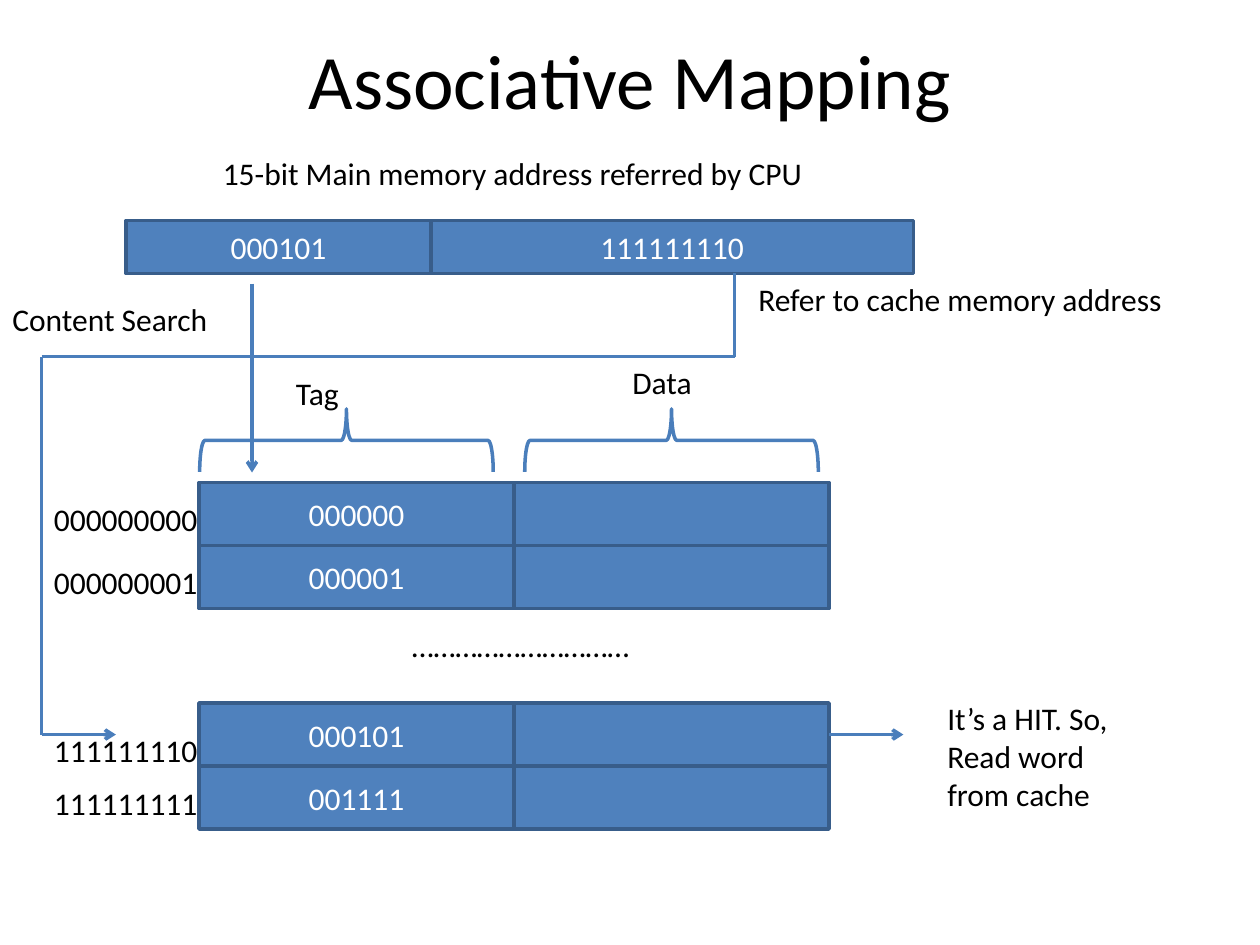
from pptx import Presentation
from pptx.dml.color import RGBColor
from pptx.enum.shapes import MSO_CONNECTOR, MSO_SHAPE
from pptx.enum.text import MSO_ANCHOR, PP_ALIGN
from pptx.oxml.ns import qn
from pptx.util import Inches, Pt
from lxml.etree import SubElement

COLORS = {"text": "000000", "cell_text": "FFFFFF", "cell": "4F81BD", "border": "385D8A", "line": "4A7EBB"}
TITLE = "Associative Mapping"
ADDRESS_PARTS = [("000101", 1, 2.42), ("111111110", 3.42, 3.83)]
CACHE_ROWS = [
    ("000000000", "000000", 3.83, 3.92),
    ("000000001", "000001", 4.33, 4.42),
    ("111111110", "000101", 5.58, 5.75),
    ("111111111", "001111", 6.08, 6.17),
]
LABELS = [
    ("15-bit Main memory address referred by CPU", 1.67, 1.17, 5, 0.4),
    ("Content Search", 0, 2.33, 1.83, 0.4),
    ("Refer to cache memory address", 5.92, 2.17, 3.83, 0.4),
    ("Tag", 2.25, 2.92, 1.08, 0.4),
    ("Data", 4.92, 2.83, 1.08, 0.4),
    ("…………………………", 3.17, 4.92, 2, 0.4),
    ("It’s a HIT. So, Read word from cache", 7.42, 5.5, 1.58, 1),
]
BRACE_LEFTS = [2.5, 5.08]
SEARCH_LINES = [
    ((5.83, 2.17), (5.83, 2.83), False),
    ((0.33, 2.83), (5.83, 2.83), False),
    ((0.33, 2.83), (0.33, 5.83), False),
    ((0.33, 5.83), (0.92, 5.83), True),
    ((2, 2.25), (2, 3.75), True),
]
TAG_LEFT, CELL_WIDTH, CELL_HEIGHT = 1.58, 2.5, 0.5
HIT_TAG = "000101"


def write_text(frame, text, size=18, color="text", align=PP_ALIGN.LEFT, anchor=MSO_ANCHOR.TOP):
    frame.word_wrap = True
    frame.vertical_anchor = anchor
    paragraph = frame.paragraphs[0]
    paragraph.alignment = align
    run = paragraph.add_run()
    run.text = text
    run.font.name = "Calibri"
    run.font.size = Pt(size)
    run.font.color.rgb = RGBColor.from_string(COLORS[color])


def style_line(line, color):
    line.color.rgb = RGBColor.from_string(COLORS[color])
    line.width = Pt(2)


def add_label(slide, text, *box):
    shape = slide.shapes.add_textbox(*map(Inches, box))
    write_text(shape.text_frame, text)


def add_cell(slide, text, *box):
    shape = slide.shapes.add_shape(MSO_SHAPE.RECTANGLE, *map(Inches, box))
    shape.shadow.inherit = False
    shape.fill.solid()
    shape.fill.fore_color.rgb = RGBColor.from_string(COLORS["cell"])
    style_line(shape.line, "border")
    if text:
        write_text(shape.text_frame, text, color="cell_text", align=PP_ALIGN.CENTER, anchor=MSO_ANCHOR.MIDDLE)
    return shape


def add_brace(slide, left):
    shape = slide.shapes.add_shape(MSO_SHAPE.RIGHT_BRACE, *map(Inches, (left, 2.33, 0.5, 2.33)))
    shape.rotation = 270
    shape.shadow.inherit = False
    shape.fill.background()
    style_line(shape.line, "line")


def add_line(slide, start, end, arrow):
    connector = slide.shapes.add_connector(MSO_CONNECTOR.STRAIGHT, *map(Inches, start + end))
    style_line(connector.line, "line")
    properties = connector._element.spPr
    if arrow:
        SubElement(properties.find(qn("a:ln")), qn("a:tailEnd"), type="arrow")
    SubElement(properties, qn("a:effectLst"))
    return connector


def main():
    """Build the associative mapping slide."""
    presentation = Presentation()
    presentation.slide_width, presentation.slide_height = Inches(10), Inches(7.5)
    slide = presentation.slides.add_slide(presentation.slide_layouts[5])
    title = slide.shapes.title
    title.left, title.top, title.width, title.height = map(Inches, (0.5, 0, 9, 1.25))
    write_text(title.text_frame, TITLE, size=44, align=PP_ALIGN.CENTER, anchor=MSO_ANCHOR.MIDDLE)

    for text, left, width in ADDRESS_PARTS:
        add_cell(slide, text, left, 1.75, width, 0.42)

    data_left = TAG_LEFT + CELL_WIDTH
    data_cells = {}
    for address, tag, top, label_top in CACHE_ROWS:
        add_cell(slide, tag, TAG_LEFT, top, CELL_WIDTH, CELL_HEIGHT)
        data_cells[tag] = add_cell(slide, "", data_left, top, CELL_WIDTH, CELL_HEIGHT)
        add_label(slide, address, 0.33, label_top, 1.5, 0.4)

    for left in BRACE_LEFTS:
        add_brace(slide, left)
    for start, end, arrow in SEARCH_LINES:
        add_line(slide, start, end, arrow)
    hit_arrow = add_line(slide, (6.58, 5.83), (7.17, 5.83), True)
    hit_arrow.begin_connect(data_cells[HIT_TAG], 3)

    for text, *box in LABELS:
        add_label(slide, text, *box)
    presentation.save("out.pptx")


if __name__ == "__main__":
    main()
